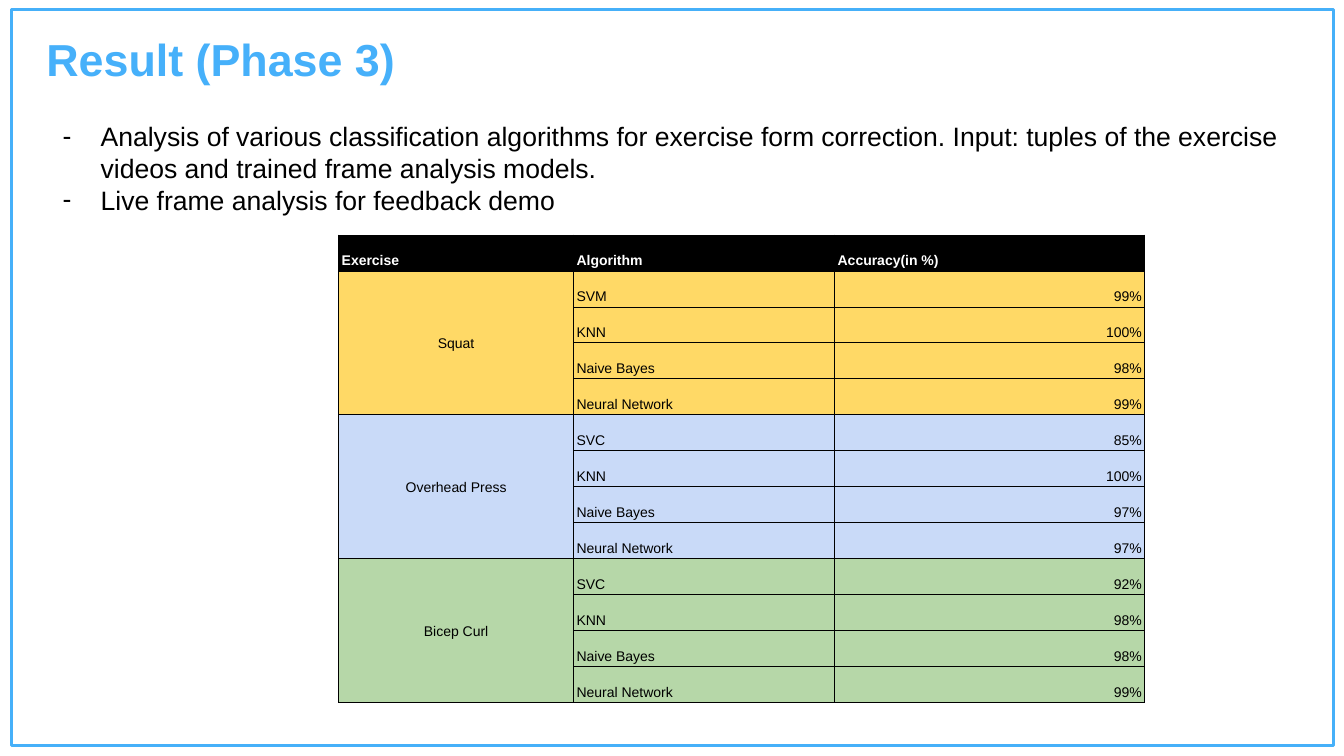
import lxml.etree
import pptx
import pptx.dml.color
import pptx.enum.shapes
import pptx.enum.text
import pptx.oxml.ns
import pptx.util

Pt = pptx.util.Pt
RGBColor = pptx.dml.color.RGBColor
Align = pptx.enum.text.PP_ALIGN
Anchor = pptx.enum.text.MSO_ANCHOR

FRAME_BLUE = RGBColor(0x46, 0xB0, 0xF9)
TITLE_BLUE = RGBColor(0x46, 0xB0, 0xFA)
BLACK = RGBColor(0, 0, 0)
WHITE = RGBColor(255, 255, 255)
YELLOW = RGBColor(0xFF, 0xD9, 0x66)
PALE_BLUE = RGBColor(0xC9, 0xDA, 0xF8)
GREEN = RGBColor(0xB6, 0xD7, 0xA8)

FONT = "Arial"
TITLE = "Result (Phase 3)"
POINTS = [
    "Analysis of various classification algorithms for exercise form correction. "
    "Input: tuples of the exercise videos and trained frame analysis models.",
    "Live frame analysis for feedback demo",
]
HEADERS = ["Exercise", "Algorithm", "Accuracy(in %)"]
RESULTS = [
    ("Squat", YELLOW,
     [("SVM", 99), ("KNN", 100), ("Naive Bayes", 98), ("Neural Network", 99)]),
    ("Overhead Press", PALE_BLUE,
     [("SVC", 85), ("KNN", 100), ("Naive Bayes", 97), ("Neural Network", 97)]),
    ("Bicep Curl", GREEN,
     [("SVC", 92), ("KNN", 98), ("Naive Bayes", 98), ("Neural Network", 99)]),
]
COLUMN_WIDTHS = [167.8, 186.5, 221.5]
ROW_HEIGHT = 25.71


def set_font(para, size, color, bold=False):
    font = para.font
    font.name = FONT
    font.size = Pt(size)
    font.bold = bold
    font.color.rgb = color


def add_child(parent, tag, **attributes):
    return lxml.etree.SubElement(parent, pptx.oxml.ns.qn(tag), attributes)


def add_frame(slide):
    frame = slide.shapes.add_shape(
        pptx.enum.shapes.MSO_SHAPE.RECTANGLE, Pt(7.9), Pt(6.5), Pt(944.6), Pt(526.3))
    frame.shadow.inherit = False
    frame.fill.background()
    frame.line.color.rgb = FRAME_BLUE
    frame.line.width = Pt(2.25)


def fill_title(slide):
    title = slide.shapes.title
    title.left, title.top, title.width, title.height = Pt(25.9), Pt(19.4), Pt(593.3), Pt(46.1)
    frame = title.text_frame
    frame.text = TITLE
    frame.auto_size = pptx.enum.text.MSO_AUTO_SIZE.NONE
    frame.vertical_anchor = Anchor.TOP
    frame.paragraphs[0].alignment = Align.LEFT
    set_font(frame.paragraphs[0], 32, TITLE_BLUE, bold=True)


def add_dash(para):
    properties = para._p.get_or_add_pPr()
    properties.set("marL", str(Pt(36)))
    properties.set("indent", str(-Pt(27.2)))
    color = add_child(properties, "a:buClr")
    add_child(color, "a:srgbClr", val=str(BLACK))
    add_child(properties, "a:buFont", typeface=FONT)
    add_child(properties, "a:buChar", char="-")


def add_points(slide):
    box = slide.shapes.add_textbox(Pt(28.8), Pt(78.5), Pt(901.4), Pt(106.6))
    frame = box.text_frame
    frame.word_wrap = True
    frame.margin_left = frame.margin_right = Pt(7.2)
    frame.margin_top = frame.margin_bottom = Pt(7.2)
    for index, point in enumerate(POINTS):
        para = frame.add_paragraph() if index else frame.paragraphs[0]
        para.text = point
        add_dash(para)
        set_font(para, 19, BLACK)


def add_borders(cell):
    properties = cell._tc.get_or_add_tcPr()
    for side in ("a:lnL", "a:lnR", "a:lnT", "a:lnB"):
        line = add_child(properties, side, w=str(Pt(0.75)))
        fill = add_child(line, "a:solidFill")
        add_child(fill, "a:srgbClr", val=str(BLACK))


def style_cell(cell, fill):
    add_borders(cell)
    cell.fill.solid()
    cell.fill.fore_color.rgb = fill
    cell.margin_left = cell.margin_right = Pt(2.2)
    cell.margin_top = cell.margin_bottom = Pt(1.5)


def write_cell(cell, text, color=BLACK, bold=False, align=Align.LEFT, anchor=Anchor.BOTTOM):
    cell.vertical_anchor = anchor
    para = cell.text_frame.paragraphs[0]
    para.text = text
    para.alignment = align
    para.line_spacing = 1.15
    set_font(para, 10, color, bold)


def add_results(slide):
    row_count = 1 + sum(len(scores) for _, _, scores in RESULTS)
    table = slide.shapes.add_table(
        row_count, len(HEADERS), Pt(241.9), Pt(167.9),
        Pt(sum(COLUMN_WIDTHS)), Pt(ROW_HEIGHT * row_count)).table
    for column, width in zip(table.columns, COLUMN_WIDTHS):
        column.width = Pt(width)
    for row in table.rows:
        row.height = Pt(ROW_HEIGHT)

    for column, header in enumerate(HEADERS):
        style_cell(table.cell(0, column), BLACK)
        write_cell(table.cell(0, column), header, WHITE, bold=True)

    first = 1
    for exercise, color, scores in RESULTS:
        for row, (algorithm, accuracy) in enumerate(scores, first):
            for column in range(len(HEADERS)):
                style_cell(table.cell(row, column), color)
            write_cell(table.cell(row, 1), algorithm)
            write_cell(table.cell(row, 2), f"{accuracy}%", align=Align.RIGHT)
        last = first + len(scores) - 1
        table.cell(first, 0).merge(table.cell(last, 0))
        write_cell(table.cell(first, 0), exercise, align=Align.CENTER, anchor=Anchor.MIDDLE)
        first = last + 1


def main():
    deck = pptx.Presentation()
    deck.slide_width, deck.slide_height = Pt(960), Pt(540)
    slide = deck.slides.add_slide(deck.slide_layouts.get_by_name("Title Only"))
    add_frame(slide)
    fill_title(slide)
    add_points(slide)
    add_results(slide)
    deck.save("out.pptx")


if __name__ == "__main__":
    main()
